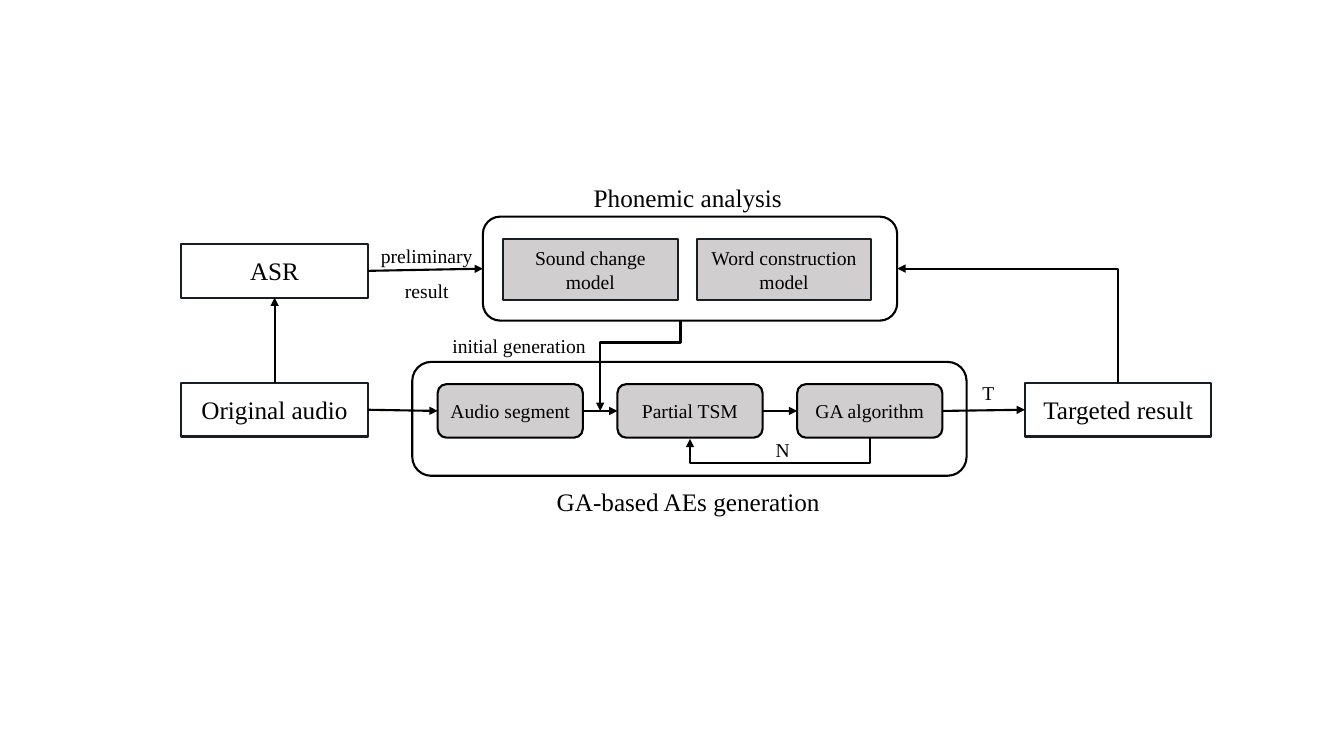
import dataclasses
import pptx
import pptx.dml.color
import pptx.enum.shapes
import pptx.enum.text
import pptx.oxml.ns
import pptx.util
from lxml import etree

Cm = pptx.util.Cm
RGB = pptx.dml.color.RGBColor
SHAPE = pptx.enum.shapes.MSO_SHAPE
CONNECTOR = pptx.enum.shapes.MSO_CONNECTOR
ALIGN = pptx.enum.text.PP_ALIGN
qn = pptx.oxml.ns.qn
TOP, LEFT, BOTTOM, RIGHT = range(4)


@dataclasses.dataclass(frozen=True)
class Theme:
    font: str = "Times New Roman"
    ink: RGB = RGB(0, 0, 0)
    edge: RGB = RGB(0x18, 0x1D, 0x24)
    grey: RGB = RGB(0xD0, 0xCE, 0xCE)
    large: pptx.util.Pt = pptx.util.Pt(18)
    small: pptx.util.Pt = pptx.util.Pt(14)
    line: pptx.util.Pt = pptx.util.Pt(1.5)


THEME = Theme()


def write(tf, text, size, align=ALIGN.CENTER, spacing=None):
    tf.text = text
    for p in tf.paragraphs:
        p.alignment = align
        p.line_spacing = spacing
        p.font.name = THEME.font
        p.font.size = size
        p.font.color.rgb = THEME.ink


def add_box(s, kind, box, text="", size=THEME.small, fill=None, edge=THEME.ink):
    sp = s.shapes.add_shape(kind, *map(Cm, box))
    sp.shadow.inherit = False
    if fill is None:
        sp.fill.background()
    else:
        sp.fill.solid()
        sp.fill.fore_color.rgb = fill
    sp.line.color.rgb = edge
    sp.line.width = THEME.line
    if text:
        sp.text_frame.vertical_anchor = pptx.enum.text.MSO_ANCHOR.MIDDLE
        write(sp.text_frame, text, size)
    return sp


def add_label(s, box, text, size=THEME.small, align=ALIGN.LEFT, spacing=None):
    tf = s.shapes.add_textbox(*map(Cm, box)).text_frame
    tf.word_wrap = False
    tf.auto_size = pptx.enum.text.MSO_AUTO_SIZE.SHAPE_TO_FIT_TEXT
    write(tf, text, size, align, spacing)


def style_arrow(c):
    c.line.color.rgb = THEME.ink
    c.line.width = THEME.line
    spPr = c._element.spPr
    etree.SubElement(spPr.find(qn("a:ln")), qn("a:tailEnd"), type="triangle")
    etree.SubElement(spPr, qn("a:effectLst"))


def join(s, start, start_side, end, end_side):
    c = s.shapes.add_connector(CONNECTOR.STRAIGHT, 0, 0, 0, 0)
    c.begin_connect(start, start_side)
    c.end_connect(end, end_side)
    style_arrow(c)


def bend(s, x1, y1, x2, y2, lane=None):
    """Leaves vertically; lane is the distance to the crossing run."""
    down = y2 > y1
    length, breadth = abs(y2 - y1), abs(x2 - x1)
    left, top = (x1 + x2 - length) // 2, (y1 + y2 - breadth) // 2
    c = s.shapes.add_connector(CONNECTOR.ELBOW, left, top, left + length, top + breadth)
    xfrm = c._element.spPr.find(qn("a:xfrm"))
    xfrm.set("rot", str((90 if down else 270) * 60000))
    if down == (x2 > x1):
        xfrm.set("flipV", "1")
    geom = c._element.spPr.find(qn("a:prstGeom"))
    if lane is None:
        geom.set("prst", "bentConnector2")
    else:
        etree.SubElement(geom.find(qn("a:avLst")), qn("a:gd"), name="adj1",
                         fmla=f"val {round(lane / length * 100000)}")
    style_arrow(c)


def middle(sp):
    return sp.left + sp.width // 2, sp.top + sp.height // 2


def endpoint(s, x, y, text):
    return add_box(s, SHAPE.RECTANGLE, (x, y, 4.7, 1.35), text, THEME.large,
                   edge=THEME.edge)


def phonemic_panel(s, x, y, w, h):
    panel = add_box(s, SHAPE.ROUNDED_RECTANGLE, (x, y, w, h))
    add_label(s, (x + 2.51, y - 0.99, 5.31, 1.02), "Phonemic analysis",
              THEME.large, ALIGN.CENTER)
    for i, name in enumerate(("Sound change", "Word construction")):
        add_box(s, SHAPE.RECTANGLE, (x + 0.51 + 4.88 * i, y + 0.56, 4.4, 1.55),
                f"{name}\nmodel", fill=THEME.grey, edge=THEME.edge)
    return panel


def generation_panel(s, x, y, w, h):
    add_box(s, SHAPE.ROUNDED_RECTANGLE, (x, y, w, h))
    add_label(s, (x + 3.35, y + 3.02, 7.21, 1.02), "GA-based AEs generation",
              THEME.large, ALIGN.CENTER)
    steps = [add_box(s, SHAPE.ROUNDED_RECTANGLE,
                     (x + 0.64 + 4.53 * i, y + 0.56, 3.66, 1.35), name, fill=THEME.grey)
             for i, name in enumerate(("Audio segment", "Partial TSM", "GA algorithm"))]
    for a, b in zip(steps, steps[1:]):
        join(s, a, RIGHT, b, LEFT)
    bottom = steps[2].top + steps[2].height
    bend(s, middle(steps[2])[0], bottom, middle(steps[1])[0], bottom + Cm(0.03), Cm(0.63))
    add_label(s, (x + 8.91, y + 1.78, 0.86, 0.86), "N")
    return steps


def build(s):
    audio = endpoint(s, 4.57, 9.65, "Original audio")
    asr = endpoint(s, 4.57, 6.15, "ASR")
    target = endpoint(s, 25.83, 9.65, "Targeted result")
    phonemic = phonemic_panel(s, 12.17, 5.46, 10.44, 2.62)
    segment, partial, algorithm = generation_panel(s, 10.39, 9.12, 13.97, 2.87)

    join(s, audio, TOP, asr, BOTTOM)
    join(s, asr, RIGHT, phonemic, LEFT)
    join(s, audio, RIGHT, segment, LEFT)
    join(s, algorithm, RIGHT, target, LEFT)
    bend(s, middle(target)[0], target.top,
         phonemic.left + phonemic.width, middle(phonemic)[1])
    gap = (segment.left + segment.width + partial.left) // 2
    bend(s, phonemic.left + Cm(4.98), phonemic.top + phonemic.height,
         gap, middle(partial)[1], Cm(0.55))

    add_label(s, (9.27, 5.72, 2.97, 1.96), "preliminary\nresult",
              align=ALIGN.CENTER, spacing=1.5)
    add_label(s, (11.15, 8, 4.17, 1.04), "initial generation", spacing=1.5)
    add_label(s, (24.51, 9.47, 0.81, 0.86), "T")


def main():
    prs = pptx.Presentation()
    prs.slide_width, prs.slide_height = Cm(33.87), Cm(19.05)
    build(prs.slides.add_slide(prs.slide_layouts[6]))
    prs.save("out.pptx")


if __name__ == "__main__":
    main()
